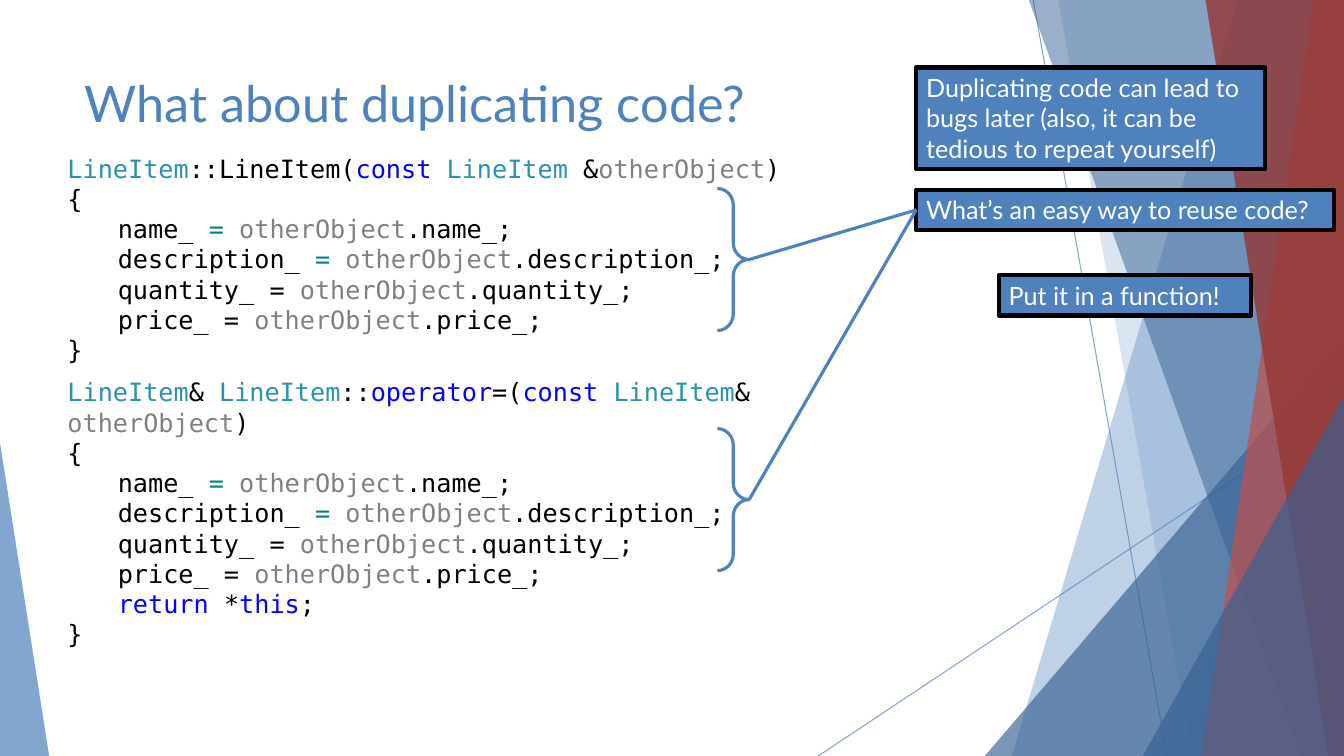
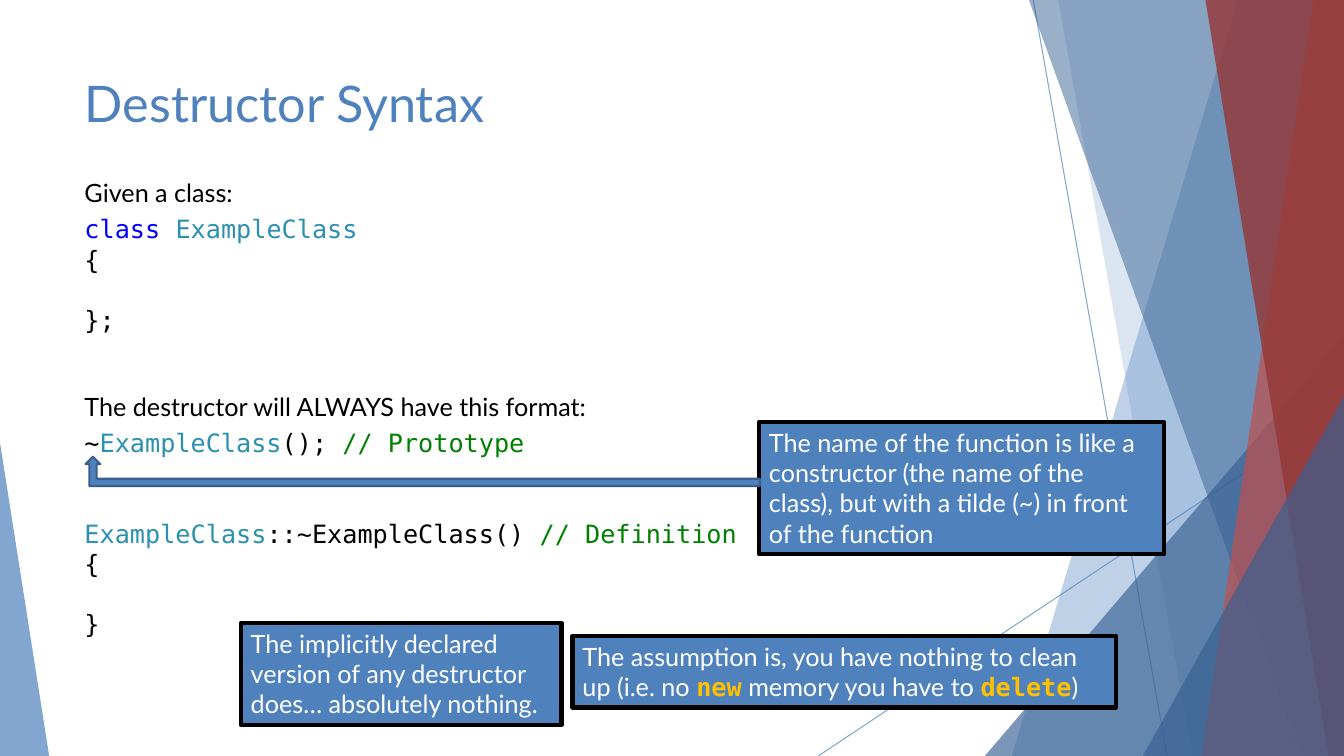
from lxml import etree
from pptx import Presentation
from pptx.dml import color
from pptx.enum import shapes, text
from pptx.oxml import ns
from pptx.util import Cm, Pt

WIDE, HIGH = 33.87, 19.05
BLUE, NAVY, RED, WINE = "4F81BD", "376092", "C0504D", "953735"
SANS, MONO = "Lato", "DejaVu Sans Mono"
SIZE, PITCH = 18, 21.6
LOOKS = {
    "h": (BLUE, SANS, False),
    "p": ("000000", SANS, False),
    "w": ("FFFFFF", SANS, False),
    "y": ("FFC000", MONO, True),
    "x": ("000000", MONO, False),
    "k": ("0000FF", MONO, False),
    "t": ("2B91AF", MONO, False),
    "v": ("808080", MONO, False),
    "o": ("008080", MONO, False),
    "c": ("008000", MONO, False),
}
FIELDS = [
    "x\tname_ |o= |votherObject|x.name_;",
    "x\tdescription_ |o= |votherObject|x.description_;",
    "x\tquantity_ = |votherObject|x.quantity_;",
    "x\tprice_ = |votherObject|x.price_;",
]
COPY = ["tLineItem|x::LineItem(|kconst |tLineItem|x &|votherObject|x)", "x{", *FIELDS, "x}"]
ASSIGN = [
    "tLineItem|x& |tLineItem|x::|koperator|x=(|kconst |tLineItem|x& |votherObject|x)",
    "x{", *FIELDS, "x\t|kreturn|x *|kthis|x;", "x}",
]
CLASS = ["kclass |tExampleClass", "x{", "", "x};"]
DESTROY = [
    "x~|tExampleClass|x(); |c// Prototype", "", "",
    "tExampleClass|x::~ExampleClass() |c// Definition", "x{", "", "x}",
]


def rgb(code):
    return color.RGBColor.from_string(code)


def place(box):
    return [Cm(v) for v in box]


def fade(shape, share):
    tint = shape.element.xpath(".//a:solidFill/a:srgbClr")[0]
    etree.SubElement(tint, ns.qn("a:alpha")).set("val", str(share * 1000))


def paint(shape, fill=None, line=None, width=1):
    shape.shadow.inherit = False
    if fill:
        shape.fill.solid()
        shape.fill.fore_color.rgb = rgb(fill)
    else:
        shape.fill.background()
    if line:
        shape.line.color.rgb = rgb(line)
        shape.line.width = Pt(width)
    else:
        shape.line.fill.background()


def style(font, look):
    tint, font.name, font.bold = look
    font.color.rgb = rgb(tint)


def write(para, marks, size=SIZE):
    parts = marks.split("|")
    base = LOOKS[parts[0][0]]
    para.alignment = text.PP_ALIGN.LEFT
    para.font.size = Pt(size)
    style(para.font, base)
    for part in parts:
        run = para.add_run()
        run.text = part[1:]
        if LOOKS[part[0]] != base:
            style(run.font, LOOKS[part[0]])


def stroke(host, start, end, width):
    line = host.add_connector(shapes.MSO_CONNECTOR.STRAIGHT, *place(start + end))
    line.line.color.rgb = rgb(BLUE)
    line.line.width = Pt(width)
    etree.SubElement(line.element.spPr, ns.qn("a:effectLst"))
    return line


def band(host, top, base, fill, share):
    pen = host.build_freeform(Cm(top), 0)
    edge = [(WIDE, 0), (WIDE, HIGH), (base, HIGH)]
    pen.add_line_segments([place(spot) for spot in edge])
    shape = pen.convert_to_shape()
    paint(shape, fill)
    fade(shape, share)


def wedge(host, left, top, right, peak, fill, share):
    box = (left, top, right - left, HIGH - top)
    shape = host.add_shape(shapes.MSO_SHAPE.ISOSCELES_TRIANGLE, *place(box))
    shape.adjustments[0] = peak
    paint(shape, fill)
    fade(shape, share)


def facets(slide, layout):
    group = slide.shapes.add_group_shape()
    host = group.shapes
    for start, end in (((26.04, 0), (29.41, HIGH)), ((WIDE, 10.24), (20.62, HIGH))):
        fade(stroke(host, start, end, 0.75), 70)
    band(host, 31.19, 25.5, BLUE, 36)
    band(host, 26.67, 30.05, BLUE, 20)
    wedge(host, 24.82, 8.46, WIDE, 1, NAVY, 66)
    band(host, 25.93, 32.79, NAVY, 50)
    band(host, 33.1, 30.28, RED, 70)
    band(host, 30.38, 33.48, WINE, 80)
    wedge(host, 28.8, 9.98, WIDE, 1, NAVY, 66)
    wedge(host, 0, 11.15, 1.24, 0, BLUE, 70)
    for num, item in enumerate(group.element.xpath(".//p:cNvPr"), 100):
        item.set("id", str(num))
    layout.shapes.element.insert(2, group.element)


def theme(deck):
    layout = deck.slide_layouts[5]
    title = layout.placeholders[0]
    title.left, title.top, title.width, title.height = place((1.88, 1.7, 23.88, 2.03))
    title.text_frame.vertical_anchor = text.MSO_ANCHOR.TOP
    return layout


def start(deck, layout, title):
    slide = deck.slides.add_slide(layout)
    write(slide.shapes.title.text_frame.paragraphs[0], "h" + title, 36)
    return slide


def frame(slide, box):
    area = slide.shapes.add_textbox(*place(box)).text_frame
    area.word_wrap = True
    return area


def label(slide, box, words):
    write(frame(slide, box).paragraphs[0], "p" + words)


def code(slide, box, lines):
    area = frame(slide, box)
    para, gap = area.paragraphs[0], 0
    for row, line in enumerate(lines):
        if not line:
            gap += PITCH
            continue
        if row:
            para = area.add_paragraph()
        para.line_spacing = Pt(PITCH)
        if gap:
            para.space_before = Pt(gap)
        gap = 0
        if "\t" in line:
            tabs = etree.SubElement(para._p.get_or_add_pPr(), ns.qn("a:tabLst"))
            stop = etree.SubElement(tabs, ns.qn("a:tab"))
            stop.set("pos", str(Cm(1.27)))
            stop.set("algn", "l")
        write(para, line)


def note(slide, box, marks):
    shape = slide.shapes.add_shape(shapes.MSO_SHAPE.RECTANGLE, *place(box))
    paint(shape, BLUE, "000000", 3)
    shape.text_frame.word_wrap = True
    shape.text_frame.vertical_anchor = text.MSO_ANCHOR.TOP
    write(shape.text_frame.paragraphs[0], marks)
    return shape


def brace(slide, box, goal):
    left, top, width, height = box
    shape = slide.shapes.add_shape(shapes.MSO_SHAPE.RIGHT_BRACE, *place(box))
    shape.adjustments[0] = 0.52
    paint(shape, None, BLUE, 2.25)
    tip = (left + width, top + height / 2)
    stroke(slide.shapes, tip, tip, 2.25).end_connect(goal, 1)


def arrow(slide, box):
    shape = slide.shapes.add_shape(shapes.MSO_SHAPE.BENT_UP_ARROW, *place(box))
    shape.element.spPr.xfrm.set("flipH", "1")
    paint(shape, BLUE, "3A5F8C", 1.5)


def reuse(slide):
    code(slide, (1.45, 3.73, 20.75, 5.64), COPY)
    code(slide, (1.45, 9.37, 21.16, 6.4), ASSIGN)
    note(slide, (23.09, 1.7, 8.79, 2.57),
         "wDuplicating code can lead to bugs later (also, it can be tedious to repeat yourself)")
    note(slide, (25.17, 6.93, 6.35, 1.02), "wPut it in a function!")
    goal = note(slide, (23.09, 4.78, 10.52, 1.02), "wWhat’s an easy way to reuse code?")
    for top in (4.75, 10.8):
        brace(slide, (18.08, top, 0.8, 3.58), goal)


def syntax(slide):
    label(slide, (1.88, 4.34, 16.94, 1.02), "Given a class:")
    code(slide, (1.88, 5.26, 22.71, 3.33), CLASS)
    code(slide, (1.88, 10.64, 22.71, 5.64), DESTROY)
    label(slide, (1.88, 9.73, 16.94, 1.02), "The destructor will ALWAYS have this format:")
    note(slide, (19.13, 10.64, 10.21, 3.33),
         "wThe name of the function is like a constructor (the name of the class), "
         "but with a tilde (~) in front of the function")
    arrow(slide, (2.16, 11.51, 16.99, 0.74))
    note(slide, (6.07, 15.7, 8.08, 2.57),
         "wThe implicitly declared version of any destructor does… absolutely nothing.")
    note(slide, (14.43, 16.03, 13.69, 1.8),
         "wThe assumption is, you have nothing to clean up (i.e. no |ynew"
         "|w memory you have to |ydelete|w)")


def main():
    deck = Presentation()
    deck.slide_width, deck.slide_height = Cm(WIDE), Cm(HIGH)
    layout = theme(deck)
    first = start(deck, layout, "What about duplicating code?")
    facets(first, layout)
    reuse(first)
    syntax(start(deck, layout, "Destructor Syntax"))
    deck.save("out.pptx")


if __name__ == "__main__":
    main()
